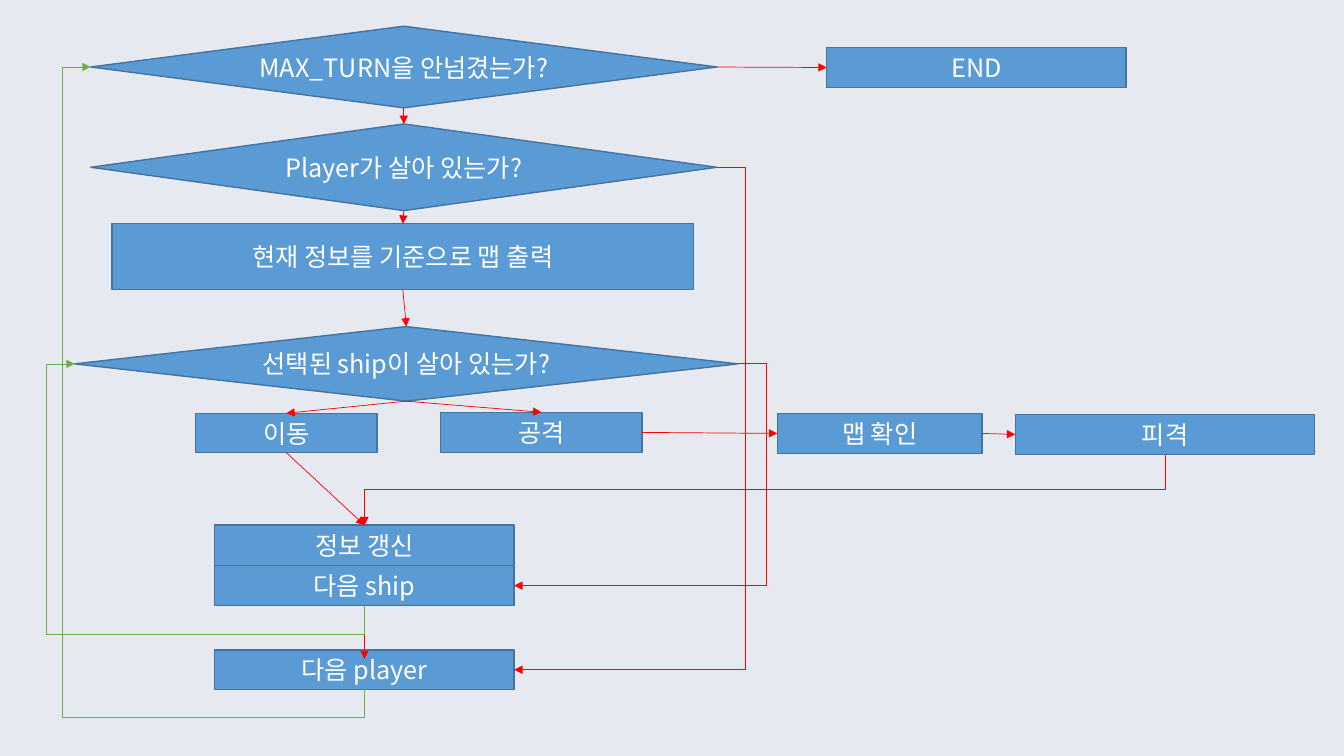
from pptx import Presentation
from pptx.dml.color import RGBColor
from pptx.enum import shapes, text
from pptx.oxml import parse_xml
from pptx.oxml.ns import nsdecls, qn
from pptx.util import Inches, Pt

BACK = RGBColor(0xE6, 0xE9, 0xF0)
BLUE = RGBColor(0x5B, 0x9B, 0xD5)
EDGE = RGBColor(0x43, 0x73, 0x9E)
WHITE = RGBColor(0xFF, 0xFF, 0xFF)
RED = RGBColor(0xFF, 0x00, 0x00)
GREEN = RGBColor(0x70, 0xAD, 0x47)
FONT = "Noto Sans CJK KR"
RECT = shapes.MSO_SHAPE.RECTANGLE
DIAMOND = shapes.MSO_SHAPE.DIAMOND
GAP = Inches(0.28)  # distance of a bent line from the boxes it goes round


def node(slide, label, x, y, w, h, kind=RECT):
    """Draw one labelled step of the flow."""
    box = slide.shapes.add_shape(kind, Inches(x), Inches(y), Inches(w), Inches(h))
    box.shadow.inherit = False
    box.fill.solid()
    box.fill.fore_color.rgb = BLUE
    box.line.color.rgb = EDGE
    box.line.width = Pt(1)
    frame = box.text_frame
    frame.word_wrap = True
    frame.vertical_anchor = text.MSO_ANCHOR.MIDDLE
    para = frame.paragraphs[0]
    para.alignment = text.PP_ALIGN.CENTER
    run = para.add_run()
    run.text = label
    font = run.font
    font.name, font.size, font.color.rgb = FONT, Pt(18), WHITE
    font._element.append(parse_xml(f'<a:ea {nsdecls("a")} typeface="{FONT}"/>'))
    return box


# Middle of each side of a box
def top(box):
    return box.left + box.width // 2, box.top


def base(box):
    return box.left + box.width // 2, box.top + box.height


def left(box):
    return box.left, box.top + box.height // 2


def right(box):
    return box.left + box.width, box.top + box.height // 2


def arrow(slide, a, b, color=RED, kind=shapes.MSO_CONNECTOR.STRAIGHT):
    """Draw a thin line from a to b with a triangle at b."""
    line = slide.shapes.add_connector(kind, *a, *b)
    line.line.color.rgb = color
    line.line.width = Pt(0.5)
    line.line._get_or_add_ln().append(
        parse_xml(f'<a:tailEnd {nsdecls("a")} type="triangle"/>'))
    line._element.spPr.append(parse_xml(f'<a:effectLst {nsdecls("a")}/>'))
    return line


def bend(slide, a, b, bends, color=RED, down=False):
    """Draw an elbow arrow; bends are fractions of the way, down turns it."""
    (ax, ay), (bx, by) = a, b
    if down:  # the frame lies on its side about the same centre
        mx, my, w, h = (ax + bx) // 2, (ay + by) // 2, by - ay, ax - bx
        a = mx - w // 2, my - h // 2
        b = a[0] + w, a[1] + h
    line = arrow(slide, a, b, color, shapes.MSO_CONNECTOR.ELBOW)
    props = line._element.spPr
    if down:
        props.find(qn("a:xfrm")).set("rot", "5400000")
    geom = props.find(qn("a:prstGeom"))
    geom.set("prst", f"bentConnector{len(bends) + 2}")
    guides = "".join(
        f'<a:gd name="adj{i if len(bends) > 1 else 1}" fmla="val {round(v * 100000)}"/>'
        for i, v in enumerate(bends, 1))
    for old in list(geom):
        geom.remove(old)
    geom.append(parse_xml(f'<a:avLst {nsdecls("a")}>{guides}</a:avLst>'))


def skip(slide, a, b):
    """Go out to the right of a and back to b."""
    bend(slide, a, b, [GAP / (b[0] - a[0])])


def loop(slide, a, b):
    """Go below a, left past b, and up into b."""
    drop = GAP / (b[1] - a[1])
    out = (b[0] - GAP - a[0]) / (b[0] - a[0])
    bend(slide, a, b, [drop, out], GREEN, down=True)


def checks(slide, x, y):
    """Turn, player and ship tests, with the map output between."""
    turn = node(slide, "MAX_TURN을 안넘겼는가?", x + 0.16, y, 6.21, 0.81, DIAMOND)
    player = node(slide, "Player가 살아 있는가?", x + 0.16, y + 0.97, 6.21, 0.86, DIAMOND)
    view = node(slide, "현재 정보를 기준으로 맵 출력", x + 0.37, y + 1.96, 5.77, 0.65)
    ship = node(slide, "선택된 ship이 살아 있는가?", x, y + 2.98, 6.58, 0.74, DIAMOND)
    end = node(slide, "END", x + 7.46, y + 0.21, 2.97, 0.4)
    for a, b in ((turn, player), (player, view), (view, ship)):
        arrow(slide, base(a), top(b))
    arrow(slide, right(turn), left(end))
    return turn, player, ship


def actions(slide, x, y):
    """Row of moves that a ship can make."""
    move = node(slide, "이동", x, y + 0.01, 1.8, 0.39)
    fire = node(slide, "공격", x + 2.43, y, 2, 0.4)
    scan = node(slide, "맵 확인", x + 5.77, y + 0.01, 2.03, 0.4)
    hit = node(slide, "피격", x + 8.13, y + 0.02, 2.97, 0.4)
    arrow(slide, right(fire), left(scan))
    arrow(slide, right(scan), left(hit))
    return move, fire, hit


def updates(slide, x, y):
    """Stack that refreshes the state and passes the turn on."""
    fresh = node(slide, "정보 갱신", x, y, 2.97, 0.4)
    ship = node(slide, "다음 ship", x, y + 0.4, 2.97, 0.4)
    player = node(slide, "다음 player", x, y + 1.24, 2.97, 0.39)
    tip = top(player)
    arrow(slide, base(ship), (tip[0], tip[1] + Inches(0.09)))
    return fresh, ship, player


def main():
    deck = Presentation()
    deck.slide_width, deck.slide_height = Inches(13.33), Inches(7.5)
    slide = deck.slides.add_slide(deck.slide_layouts[6])
    slide.background.fill.solid()
    slide.background.fill.fore_color.rgb = BACK

    turn, player, ship = checks(slide, 0.74, 0.26)
    move, fire, hit = actions(slide, 1.94, 4.09)
    fresh, nship, nplay = updates(slide, 2.13, 5.21)

    # Links between the regions
    arrow(slide, base(ship), top(move))
    arrow(slide, base(ship), top(fire))
    arrow(slide, base(move), top(fresh))
    bend(slide, base(hit), top(fresh), [0.5], down=True)
    skip(slide, right(player), right(nplay))
    skip(slide, right(ship), right(nship))
    loop(slide, base(nship), left(ship))
    loop(slide, base(nplay), left(turn))
    deck.save("out.pptx")


if __name__ == "__main__":
    main()
